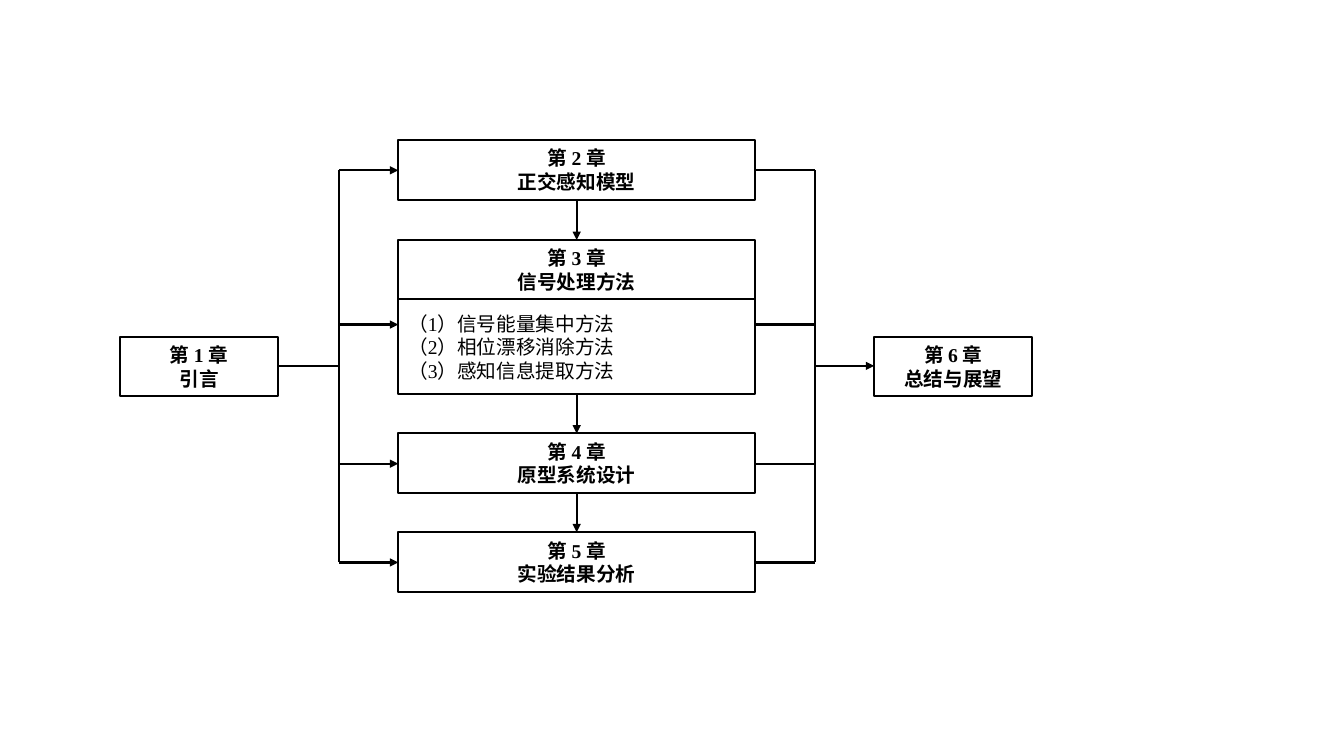
import pptx
import pptx.dml.color
import pptx.enum.lang
import pptx.enum.shapes
import pptx.enum.text
import pptx.oxml
import pptx.oxml.ns
import pptx.util

EMU_PER_PX = 9144  # 100 px to the inch
COLORS = {"ink": "000000"}
FONT_NAME = "Times New Roman"
LINE_WIDTH = 1.5

BOX_HEIGHT = 59
SIDE_WIDTH = 157
SIDE_TOP = 334
MAIN_LEFT, MAIN_WIDTH = 395, 354
MAIN_RIGHT = MAIN_LEFT + MAIN_WIDTH
MAIN_MIDDLE = MAIN_LEFT + MAIN_WIDTH // 2
DETAIL_HEIGHT = 94
FIRST_LEFT, LAST_LEFT = 119, 867
LEFT_BUS, RIGHT_BUS = 336, 808

# Middle column: number, title, top, full height
CHAPTERS = [
    (2, "正交感知模型", 139, BOX_HEIGHT),
    (3, "信号处理方法", 238, BOX_HEIGHT + DETAIL_HEIGHT),
    (4, "原型系统设计", 430, BOX_HEIGHT),
    (5, "实验结果分析", 528, BOX_HEIGHT),
]
METHODS = ["（1）信号能量集中方法", "（2）相位漂移消除方法", "（3）感知信息提取方法"]


def px(length):
    return pptx.util.Emu(length * EMU_PER_PX)


def ink():
    return pptx.dml.color.RGBColor.from_string(COLORS["ink"])


def style_line(line):
    line.color.rgb = ink()
    line.width = pptx.util.Pt(LINE_WIDTH)


def add_box(shapes, left, top, width, height, lines, heading=True):
    box = shapes.add_shape(pptx.enum.shapes.MSO_SHAPE.RECTANGLE,
                           px(left), px(top), px(width), px(height))
    box.shadow.inherit = False
    box.fill.background()
    style_line(box.line)
    frame = box.text_frame
    frame.word_wrap = True
    frame.vertical_anchor = pptx.enum.text.MSO_ANCHOR.MIDDLE
    align = pptx.enum.text.PP_ALIGN
    for index, text in enumerate(lines):
        para = frame.add_paragraph() if index else frame.paragraphs[0]
        para.alignment = align.CENTER if heading else align.LEFT
        span = para.add_run()
        span.text = text
        span.font.name = FONT_NAME
        span.font.size = pptx.util.Pt(14)
        span.font.bold = heading
        span.font.color.rgb = ink()
        span.font.language_id = pptx.enum.lang.MSO_LANGUAGE_ID.SIMPLIFIED_CHINESE


def add_chapter(shapes, number, title, left, top, width):
    add_box(shapes, left, top, width, BOX_HEIGHT, [f"第 {number} 章", title])


def add_line(shapes, start, end, arrow=False):
    connector = shapes.add_connector(pptx.enum.shapes.MSO_CONNECTOR.STRAIGHT,
                                     px(start[0]), px(start[1]), px(end[0]), px(end[1]))
    style_line(connector.line)
    if arrow:
        tail = pptx.oxml.parse_xml(
            f'<a:tailEnd {pptx.oxml.ns.nsdecls("a")} type="triangle"/>')
        connector.line._get_or_add_ln().append(tail)
    connector._element.spPr.append(
        pptx.oxml.parse_xml(f'<a:effectLst {pptx.oxml.ns.nsdecls("a")}/>'))


def main():
    deck = pptx.Presentation()
    deck.slide_width, deck.slide_height = px(1333), px(750)
    page = deck.slides.add_slide(deck.slide_layouts[6])
    shapes = page.shapes

    # First and last chapters
    add_chapter(shapes, 1, "引言", FIRST_LEFT, SIDE_TOP, SIDE_WIDTH)
    add_chapter(shapes, 6, "总结与展望", LAST_LEFT, SIDE_TOP, SIDE_WIDTH)

    # Middle chapters, with the method list grouped under chapter 3
    for number, title, top, height in CHAPTERS:
        has_methods = height > BOX_HEIGHT
        holder = shapes.add_group_shape().shapes if has_methods else shapes
        add_chapter(holder, number, title, MAIN_LEFT, top, MAIN_WIDTH)
        if has_methods:
            add_box(holder, MAIN_LEFT, top + BOX_HEIGHT, MAIN_WIDTH, DETAIL_HEIGHT,
                    METHODS, heading=False)

    # Arrows from one middle chapter to the next
    for (_, _, top, height), (_, _, next_top, _) in zip(CHAPTERS, CHAPTERS[1:]):
        add_line(shapes, (MAIN_MIDDLE, top + height), (MAIN_MIDDLE, next_top), arrow=True)

    # Branches on both sides of the middle column
    centers = [top + (height + 1) // 2 for _, _, top, height in CHAPTERS]
    centers[1] = 322  # chapter 3 branches sit below its heading
    for center in centers:
        add_line(shapes, (LEFT_BUS, center), (MAIN_LEFT, center), arrow=True)
        add_line(shapes, (MAIN_RIGHT, center), (RIGHT_BUS, center))

    # Vertical buses and their links to the first and last chapters
    for bus in (LEFT_BUS, RIGHT_BUS):
        add_line(shapes, (bus, centers[0]), (bus, centers[-1]))
    side_center = SIDE_TOP + BOX_HEIGHT // 2
    add_line(shapes, (FIRST_LEFT + SIDE_WIDTH, side_center), (LEFT_BUS, side_center))
    add_line(shapes, (RIGHT_BUS, side_center), (LAST_LEFT, side_center), arrow=True)

    deck.save("out.pptx")


if __name__ == "__main__":
    main()
